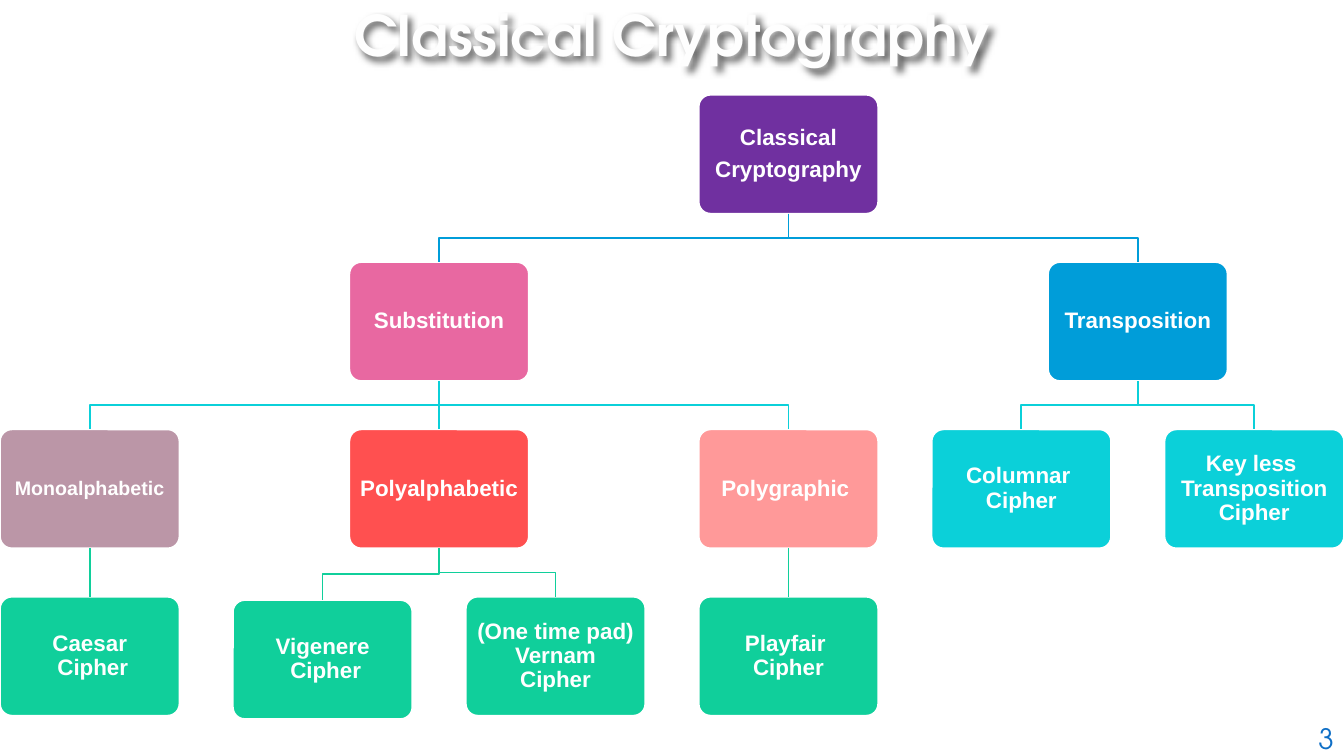
from lxml.etree import SubElement as Sub
from pptx import Presentation
from pptx.dml.color import RGBColor as Rgb
from pptx.enum.shapes import MSO_CONNECTOR as Conn, MSO_SHAPE as Kind
from pptx.enum.text import MSO_ANCHOR as Anchor, MSO_AUTO_SIZE as Auto, PP_ALIGN as Align
from pptx.oxml.ns import qn
from pptx.util import Inches as In, Pt

HUES = {
    "white": "FFFFFF", "title": "FEFEFE", "number": "0F6FC6", "shade": "000000",
    "purple": "7030A0", "pink": "E868A1", "blue": "009DD9", "mauve": "BB96A7",
    "red": "FF5050", "rose": "FF9999", "cyan": "0BD0D9", "green": "10CF9B",
}
LINKS = {1: "blue", 2: "cyan", 3: "green"}
ROOT = "Classical\nCryptography"
NODES = [
    ("Substitution", ROOT, 1.5, 1, "pink"),
    ("Monoalphabetic", "Substitution", 0, 2, "mauve"),
    ("Caesar\n Cipher", "Monoalphabetic", 0, 3, "green"),
    ("Polyalphabetic", "Substitution", 1.5, 2, "red"),
    ("Vigenere\n Cipher", "Polyalphabetic", 1, 3.02, "green"),
    ("(One time pad)\nVernam\nCipher", "Polyalphabetic", 2, 3, "green"),
    ("Polygraphic ", "Substitution", 3, 2, "rose"),
    ("Playfair \nCipher", "Polygraphic ", 3, 3, "green"),
    ("Transposition", ROOT, 4.5, 1, "blue"),
    ("Columnar \nCipher", "Transposition", 4, 2, "cyan"),
    ("Key less \nTransposition\nCipher", "Transposition", 5, 2, "cyan"),
]


def hue(name):
    return Rgb.from_string(HUES[name])


def write(frame, text, size=16, font="Arial", color="white", bold=True,
          align=Align.CENTER, anchor=Anchor.MIDDLE, pad=(0.06,) * 4,
          lead=None, after=None, split=False):
    frame.word_wrap = True
    frame.auto_size = Auto.NONE
    frame.vertical_anchor = anchor
    (frame.margin_left, frame.margin_top,
     frame.margin_right, frame.margin_bottom) = map(In, pad)
    frame.text = text if split else text.replace("\n", "\v")
    for para in frame.paragraphs:
        para.alignment = align
        para.line_spacing = lead
        para.space_after = after
        for run in para.runs:
            run.font.size, run.font.name, run.font.bold = Pt(size), font, bold
            run.font.color.rgb = hue(color)
        for gap in para._p.findall(qn("a:br")):
            Sub(gap, qn("a:rPr"), sz=str(size * 100))


class Chart:
    """Draws a tree of boxes on a grid of columns and rows."""

    wide, high = 13.33, 7.5
    box_w, box_h = 1.78, 1.18
    top, step = 0.94, 1.66
    pitch = (wide - box_w) / 5

    def __init__(self):
        self.deck = Presentation()
        self.deck.slide_width, self.deck.slide_height = In(self.wide), In(self.high)
        self.slide = self.deck.slides.add_slide(self.deck.slide_layouts[5])
        self.shapes = self.slide.shapes

    def title(self, text):
        head = self.shapes.title
        head.left, head.top = 0, In(0.03)
        head.width, head.height = In(self.wide), In(0.69)
        write(head.text_frame, text, size=40, font="TeX Gyre Adventor",
              color="title", anchor=Anchor.BOTTOM, pad=(0.1, 0.05, 0.1, 0.05))
        glow = Sub(head._element.spPr, qn("a:effectLst"))
        cast = Sub(glow, qn("a:outerShdw"), blurRad="50800", dist="38100",
                   dir="2700000", algn="tl", rotWithShape="0")
        tone = Sub(cast, qn("a:srgbClr"), val=HUES["shade"])
        Sub(tone, qn("a:alpha"), val="60000")

    def box(self, text, col, row, fill, size=16, split=False):
        card = self.shapes.add_shape(
            Kind.ROUNDED_RECTANGLE, In(col * self.pitch),
            In(self.top + row * self.step), In(self.box_w), In(self.box_h))
        card.adjustments[0] = 0.1
        card.shadow.inherit = False
        card.fill.solid()
        card.fill.fore_color.rgb = hue(fill)
        self.line(card, "white")
        write(card.text_frame, text, size=size, lead=0.9, after=Pt(6), split=split)
        return card

    def line(self, shape, color):
        shape.line.color.rgb = hue(color)
        shape.line.width = Pt(1.25)

    def link(self, above, below, color):
        x, y = above.left + above.width // 2, above.top + above.height
        end, low = below.left + below.width // 2, below.top
        if x == end:
            wire = self.shapes.add_connector(Conn.STRAIGHT, x, y, end, low)
            wire.begin_connect(above, 2)
            wire.end_connect(below, 0)
            Sub(wire._element.spPr, qn("a:effectLst"))
        else:
            mid = (y + low) // 2
            pen = self.shapes.build_freeform(x, y)
            pen.add_line_segments([(x, mid), (end, mid), (end, low)], close=False)
            wire = pen.convert_to_shape()
            wire.fill.background()
            wire.shadow.inherit = False
        self.line(wire, color)

    def number(self, text):
        note = self.shapes.add_textbox(In(12.17), In(6.96), In(1.16), In(0.54))
        write(note.text_frame, text, size=20, font="TeX Gyre Adventor",
              color="number", bold=False, align=Align.RIGHT,
              anchor=Anchor.BOTTOM, pad=(0.1, 0.05, 0.1, 0.01))


def main():
    chart = Chart()
    chart.title("Classical Cryptography")
    cards = {ROOT: chart.box(ROOT, 3, 0, "purple", split=True)}
    for text, base, col, row, fill in NODES:
        size = 14 if text == "Monoalphabetic" else 16
        cards[text] = chart.box(text, col, row, fill, size)
        chart.link(cards[base], cards[text], LINKS[int(row)])
    chart.number("3")
    chart.deck.save("out.pptx")


if __name__ == "__main__":
    main()
